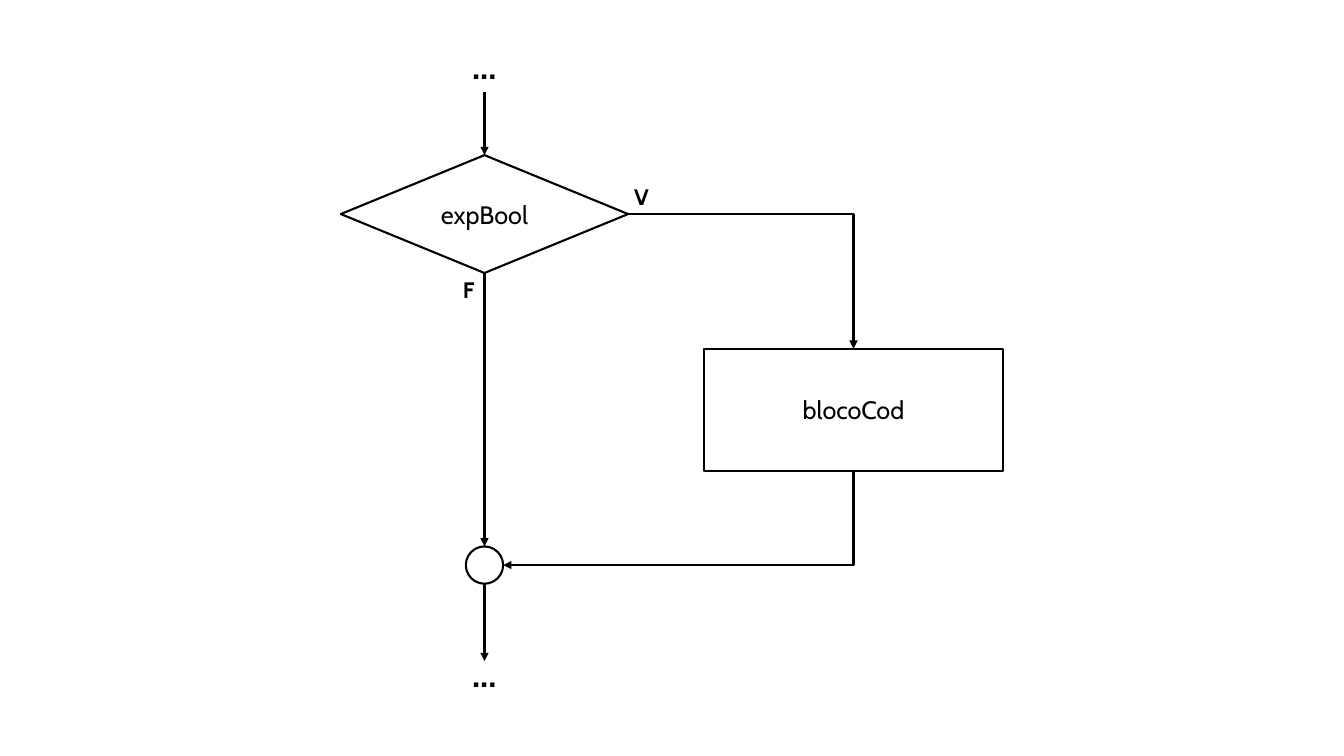
from lxml.etree import SubElement
from pptx import Presentation
from pptx.dml.color import RGBColor
from pptx.enum.shapes import MSO_CONNECTOR, MSO_SHAPE
from pptx.enum.text import MSO_ANCHOR, MSO_AUTO_SIZE, PP_ALIGN
from pptx.oxml.ns import qn
from pptx.util import Cm, Pt

INK, PAPER = "000000", "FFFFFF"


def color(code):
    return RGBColor.from_string(code)


def write(shape, text, size=18, bold=False):
    frame = shape.text_frame
    frame.word_wrap = True
    frame.vertical_anchor = MSO_ANCHOR.MIDDLE
    para = frame.paragraphs[0]
    para.alignment = PP_ALIGN.CENTER
    run = para.add_run()
    run.text = text
    font = run.font
    font.name, font.size, font.bold = "Cabin", Pt(size), bold
    font.color.rgb = color(INK)


def node(slide, kind, mid, top, width, height, text=""):
    """Add an outlined shape centred on the vertical line at mid."""
    shape = slide.shapes.add_shape(
        kind, Cm(mid - width / 2), Cm(top), Cm(width), Cm(height))
    shape.shadow.inherit = False
    shape.fill.solid()
    shape.fill.fore_color.rgb = color(PAPER)
    shape.line.color.rgb = color(INK)
    shape.line.width = Pt(1.5)
    if text:
        write(shape, text)


def label(slide, text, mid, top, height, size):
    box = slide.shapes.add_textbox(
        Cm(mid - 2.43), Cm(top), Cm(4.85), Cm(height))
    write(box, text, size=size, bold=True)
    box.text_frame.vertical_anchor = MSO_ANCHOR.TOP
    box.text_frame.auto_size = MSO_AUTO_SIZE.SHAPE_TO_FIT_TEXT


def arrow(slide, start, end, kind=MSO_CONNECTOR.STRAIGHT):
    link = slide.shapes.add_connector(
        kind, *(Cm(value) for value in (*start, *end)))
    link.line.color.rgb = color(INK)
    link.line.width = Pt(1.5)
    SubElement(link.line._get_or_add_ln(), qn("a:tailEnd"), type="triangle")
    SubElement(link.element.spPr, qn("a:effectLst"))
    return link


def bend(slide, start, end, down=False):
    """Add an arrow with one corner; down makes it leave vertically to the left."""
    (x1, y1), (x2, y2) = start, end
    if down:
        # The frame is stored unturned, around the same centre.
        mid_x, mid_y = (x1 + x2) / 2, (y1 + y2) / 2
        half_w, half_h = (y2 - y1) / 2, (x1 - x2) / 2
        start = mid_x - half_w, mid_y - half_h
        end = mid_x + half_w, mid_y + half_h
    link = arrow(slide, start, end, MSO_CONNECTOR.ELBOW)
    props = link.element.spPr
    props.find(qn("a:prstGeom")).set("prst", "bentConnector2")
    if down:
        props.find(qn("a:xfrm")).set("rot", "5400000")


def flow(slide, left, top, width, height):
    """Draw the if-statement flowchart inside the given box."""
    test_w, test_h = 7.24, 2.97
    block_w, block_h = 7.52, 3.07
    join = 0.94
    dots_h, mark_h = 1.32, 0.94
    axis = left + test_w / 2
    side = left + width - block_w / 2
    test_y, block_y, join_y = top + 2.92, top + 7.8, top + 12.78
    test_end, join_end = test_y + test_h, join_y + join

    node(slide, MSO_SHAPE.FLOWCHART_DECISION, axis, test_y, test_w, test_h, "expBool")
    node(slide, MSO_SHAPE.RECTANGLE, side, block_y, block_w, block_h, "blocoCod")
    node(slide, MSO_SHAPE.FLOWCHART_CONNECTOR, axis, join_y, join, join)

    bend(slide, (left + test_w, test_y + test_h / 2), (side, block_y))
    bend(slide, (side, block_y + block_h),
         (axis + join / 2, join_y + join / 2), down=True)
    for begin, stop in ((top + dots_h, test_y), (test_end, join_y),
                        (join_end, join_end + 1.95)):
        arrow(slide, (axis, begin), (axis, stop))

    for y in (top, top + height - dots_h):
        label(slide, "...", axis, y, dots_h, 25)
    label(slide, "V", axis + 3.96, top + 3.51, mark_h, 16)
    label(slide, "F", axis - 0.39, top + 5.84, mark_h, 16)


def main():
    deck = Presentation()
    deck.slide_width, deck.slide_height = Cm(33.87), Cm(19.05)
    slide = deck.slides.add_slide(deck.slide_layouts[6])
    flow(slide, 8.59, 0.99, 16.68, 16.64)
    deck.save("out.pptx")


if __name__ == "__main__":
    main()
